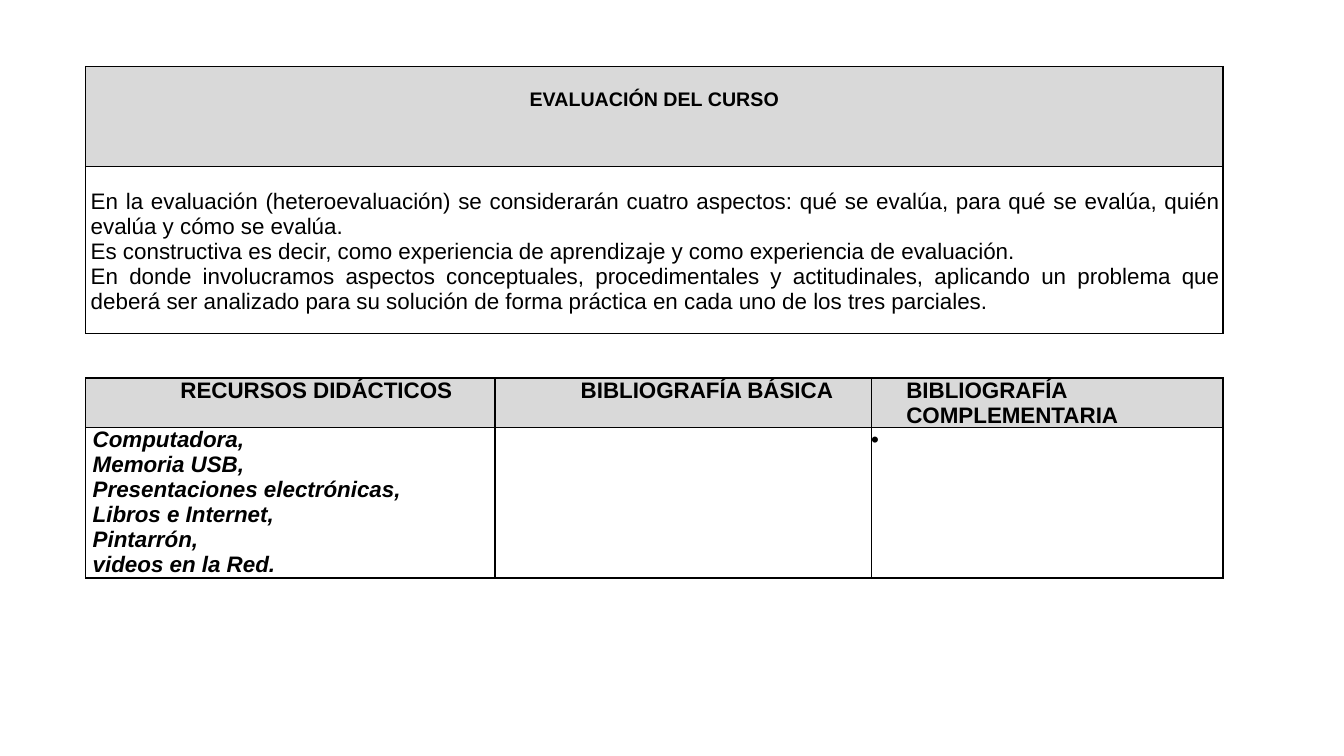
from lxml import etree
from pptx import Presentation
from pptx.dml.color import RGBColor
from pptx.enum.text import PP_ALIGN
from pptx.oxml.ns import qn
from pptx.util import Inches, Pt

BLACK = RGBColor(0x00, 0x00, 0x00)
HEADER_GRAY = RGBColor(0xD9, 0xD9, 0xD9)
LEFT, CENTER, JUSTIFY = PP_ALIGN.LEFT, PP_ALIGN.CENTER, PP_ALIGN.JUSTIFY

TABLE_LEFT = 0.85
EVALUATION = [
    "En la evaluación (heteroevaluación) se considerarán cuatro aspectos: qué se evalúa, "
    "para qué se evalúa, quién evalúa y cómo se evalúa.",
    "Es constructiva es decir, como experiencia de aprendizaje y como experiencia de evaluación.",
    "En donde involucramos aspectos conceptuales, procedimentales y actitudinales, aplicando un "
    "problema que deberá ser analizado para su solución de forma práctica en cada uno de los "
    "tres parciales.",
]
RESOURCES = [
    "Computadora,",
    "Memoria USB,",
    "Presentaciones electrónicas,",
    "Libros e Internet,",
    "Pintarrón,",
    "videos en la Red.",
]
RESOURCE_HEADINGS = [
    ("RECURSOS DIDÁCTICOS", 0.94),
    ("BIBLIOGRAFÍA BÁSICA", 0.85),
    ("BIBLIOGRAFÍA COMPLEMENTARIA", 0.35),
]


def add_borders(cell):
    properties = cell._tc.get_or_add_tcPr()
    for side in ("a:lnL", "a:lnR", "a:lnT", "a:lnB"):
        line = etree.SubElement(properties, qn(side), w=str(Pt(1)))
        fill = etree.SubElement(line, qn("a:solidFill"))
        etree.SubElement(fill, qn("a:srgbClr"), val=str(BLACK))


def add_plain_table(slide, left, top, widths, heights):
    table = slide.shapes.add_table(
        len(heights), len(widths), Inches(left), Inches(top),
        Inches(sum(widths)), Inches(sum(heights)),
    ).table
    table.horz_banding = False
    for column, width in zip(table.columns, widths):
        column.width = Inches(width)
    for row, height in zip(table.rows, heights):
        row.height = Inches(height)
    for cell in table.iter_cells():
        add_borders(cell)
        cell.fill.background()
        cell.margin_left = cell.margin_right = cell.margin_top = cell.margin_bottom = 0
    for cell in table.rows[0].cells:
        cell.fill.solid()
        cell.fill.fore_color.rgb = HEADER_GRAY
    return table


def write_cell(cell, lines, size=16, bold=False, italic=False, align=LEFT, indent=0, top=0):
    cell.margin_left = Inches(indent)
    cell.margin_top = Inches(top)
    cell.text = "\n".join(lines)
    for paragraph in cell.text_frame.paragraphs:
        paragraph.alignment = align
        paragraph.font.name = "Arial"
        paragraph.font.size = Pt(size)
        paragraph.font.bold = bold
        paragraph.font.italic = italic
        paragraph.font.color.rgb = BLACK


def add_evaluation(slide, left, top):
    table = add_plain_table(slide, left, top, [11.28], [0.99, 1.66])
    write_cell(table.cell(0, 0), ["EVALUACIÓN DEL CURSO"], size=14, bold=True,
               align=CENTER, top=0.22)
    body = table.cell(1, 0)
    write_cell(body, EVALUATION, align=JUSTIFY, indent=0.05, top=0.23)
    body.margin_right = Inches(0.03)


def add_resources(slide, left, top):
    table = add_plain_table(slide, left, top, [4.06, 3.73, 3.49], [0.49, 1.49])
    for cell, (heading, indent) in zip(table.rows[0].cells, RESOURCE_HEADINGS):
        write_cell(cell, [heading], bold=True, indent=indent)
    write_cell(table.cell(1, 0), RESOURCES, bold=True, italic=True, indent=0.07)
    write_cell(table.cell(1, 2), ["•"])


def main():
    presentation = Presentation()
    presentation.slide_width = Inches(13.33)
    presentation.slide_height = Inches(7.5)
    slide = presentation.slides.add_slide(presentation.slide_layouts[6])
    add_evaluation(slide, TABLE_LEFT, 0.66)
    add_resources(slide, TABLE_LEFT, 3.75)
    presentation.save("out.pptx")


if __name__ == "__main__":
    main()
